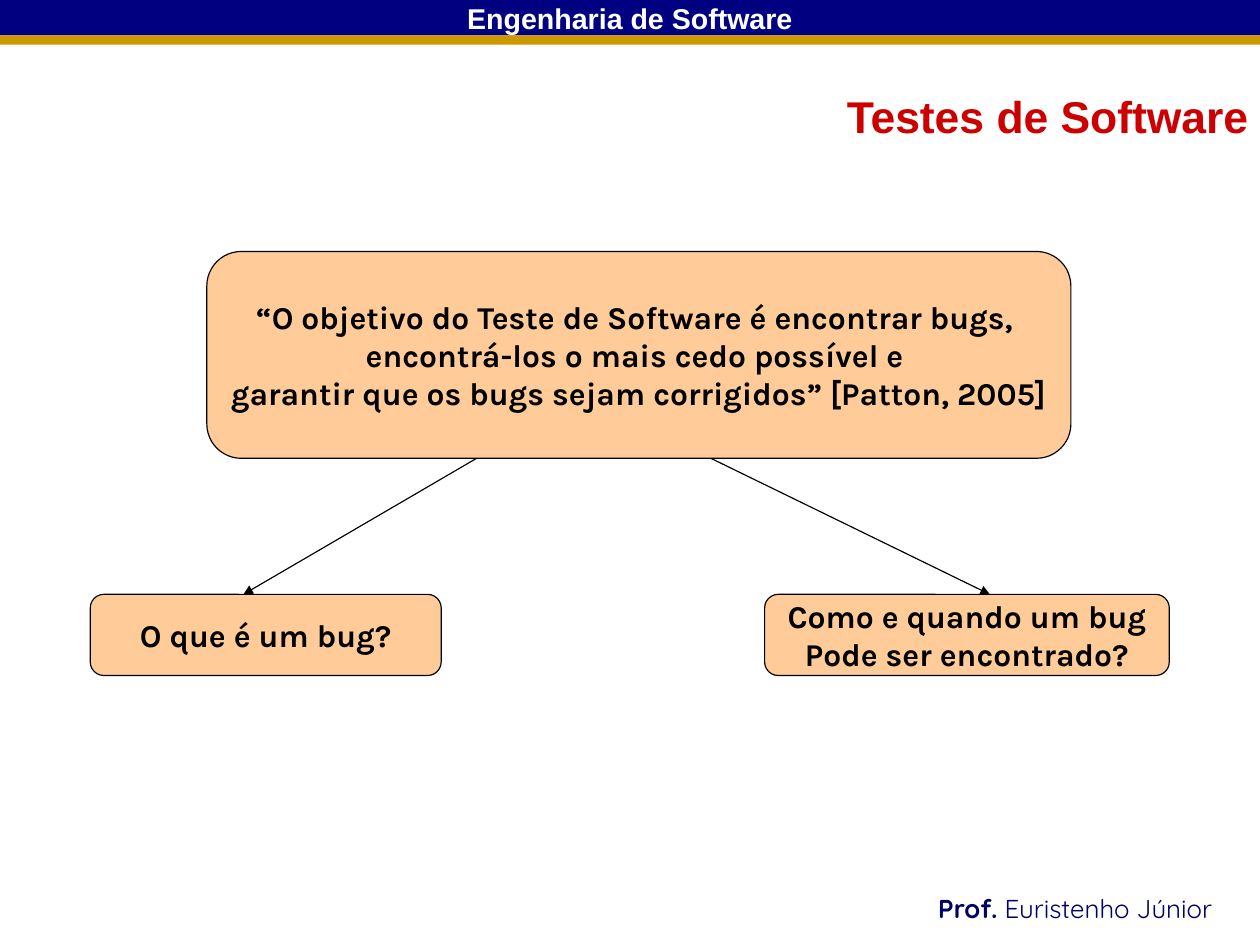
import pptx
import pptx.dml.color
import pptx.enum.shapes
import pptx.enum.text
import pptx.oxml
import pptx.oxml.ns
import pptx.util
from pptx.util import Inches

RGBColor = pptx.dml.color.RGBColor
SHAPE = pptx.enum.shapes.MSO_SHAPE
ALIGN = pptx.enum.text.PP_ALIGN
ANCHOR = pptx.enum.text.MSO_ANCHOR
AUTO_SIZE = pptx.enum.text.MSO_AUTO_SIZE

NAVY = RGBColor(0x00, 0x00, 0x80)
DARK_NAVY = RGBColor(0x00, 0x00, 0x66)
GOLD = RGBColor(0xCC, 0x99, 0x00)
PEACH = RGBColor(0xFF, 0xCC, 0x99)
RED = RGBColor(0xCC, 0x00, 0x00)
BLACK = RGBColor(0x00, 0x00, 0x00)
WHITE = RGBColor(0xFF, 0xFF, 0xFF)

# The slide is 28 by 21 cm
SLIDE_WIDTH = 28 / 2.54
SLIDE_HEIGHT = 21 / 2.54


def write(shape, lines, font, size, color, align=ALIGN.CENTER,
          anchor=ANCHOR.MIDDLE, wrap=False, auto_size=AUTO_SIZE.NONE):
    """Fill a shape with lines, each a list of (text, bold) runs."""
    frame = shape.text_frame
    frame.word_wrap = wrap
    frame.auto_size = auto_size
    frame.vertical_anchor = anchor
    for index, runs in enumerate(lines):
        paragraph = frame.add_paragraph() if index else frame.paragraphs[0]
        paragraph.alignment = align
        for text, bold in runs:
            run = paragraph.add_run()
            run.text = text
            run.font.name = font
            run.font.size = pptx.util.Pt(size)
            run.font.bold = bold
            run.font.color.rgb = color


def add_box(kind, left, top, width, height, fill, line=None):
    box = slide.shapes.add_shape(
        kind, Inches(left), Inches(top), Inches(width), Inches(height))
    box.shadow.inherit = False
    box.fill.solid()
    box.fill.fore_color.rgb = fill
    if line is None:
        box.line.fill.background()
    else:
        box.line.color.rgb = line
        box.line.width = pptx.util.Pt(0.75)
    return box


presentation = pptx.Presentation()
presentation.slide_width = Inches(SLIDE_WIDTH)
presentation.slide_height = Inches(SLIDE_HEIGHT)
slide = presentation.slides.add_slide(presentation.slide_layouts[6])

# Header band and footer
course_band = add_box(SHAPE.RECTANGLE, 0, 0, SLIDE_WIDTH, 0.31, NAVY)
write(course_band, [[("Engenharia de Software", True)]], "Arial", 18, WHITE, wrap=True)
add_box(SHAPE.RECTANGLE, 0, 0.31, SLIDE_WIDTH, 0.08, GOLD)

teacher = slide.shapes.add_textbox(Inches(8.11), Inches(7.76), Inches(2.91), Inches(0.41))
write(teacher, [[("Prof.", True), (" Euristenho Júnior", False)]], "Quicksand", 16.3,
      DARK_NAVY, align=ALIGN.LEFT, anchor=ANCHOR.TOP, wrap=True,
      auto_size=AUTO_SIZE.SHAPE_TO_FIT_TEXT)

# Goal of testing and the two questions it raises
statements = [
    (1.81, 2.2, 7.56, 1.81, [
        "“O objetivo do Teste de Software é encontrar bugs, ",
        "encontrá-los o mais cedo possível e ",
        "garantir que os bugs sejam corrigidos” [Patton, 2005]"]),
    (0.79, 5.2, 3.07, 0.71, ["O que é um bug?"]),
    (6.69, 5.2, 3.54, 0.71, ["Como e quando um bug", "Pode ser encontrado?"]),
]
for left, top, width, height, lines in statements:
    statement = add_box(SHAPE.ROUNDED_RECTANGLE, left, top, width, height, PEACH, BLACK)
    write(statement, [[(line, True)] for line in lines], "Karla", 20, BLACK)

for goal_x, question_x in [(4.17, 2.13), (6.22, 8.66)]:
    arrow = slide.shapes.add_connector(
        pptx.enum.shapes.MSO_CONNECTOR.STRAIGHT,
        Inches(goal_x), Inches(4.01), Inches(question_x), Inches(5.2))
    arrow.line.color.rgb = BLACK
    arrow.line.width = pptx.util.Pt(0.75)
    properties = arrow.element.spPr
    head = pptx.oxml.parse_xml(
        '<a:tailEnd xmlns:a="http://schemas.openxmlformats.org/drawingml/2006/main"'
        ' type="triangle"/>')
    properties.find(pptx.oxml.ns.qn("a:ln")).append(head)
    properties.append(head.makeelement(pptx.oxml.ns.qn("a:effectLst")))

title = slide.shapes.add_textbox(Inches(7.31), Inches(0.73), Inches(3.71), Inches(0.53))
write(title, [[("Testes de Software", True)]], "Arial", 28, RED,
      align=ALIGN.LEFT, anchor=ANCHOR.TOP, auto_size=AUTO_SIZE.SHAPE_TO_FIT_TEXT)

presentation.save("out.pptx")
